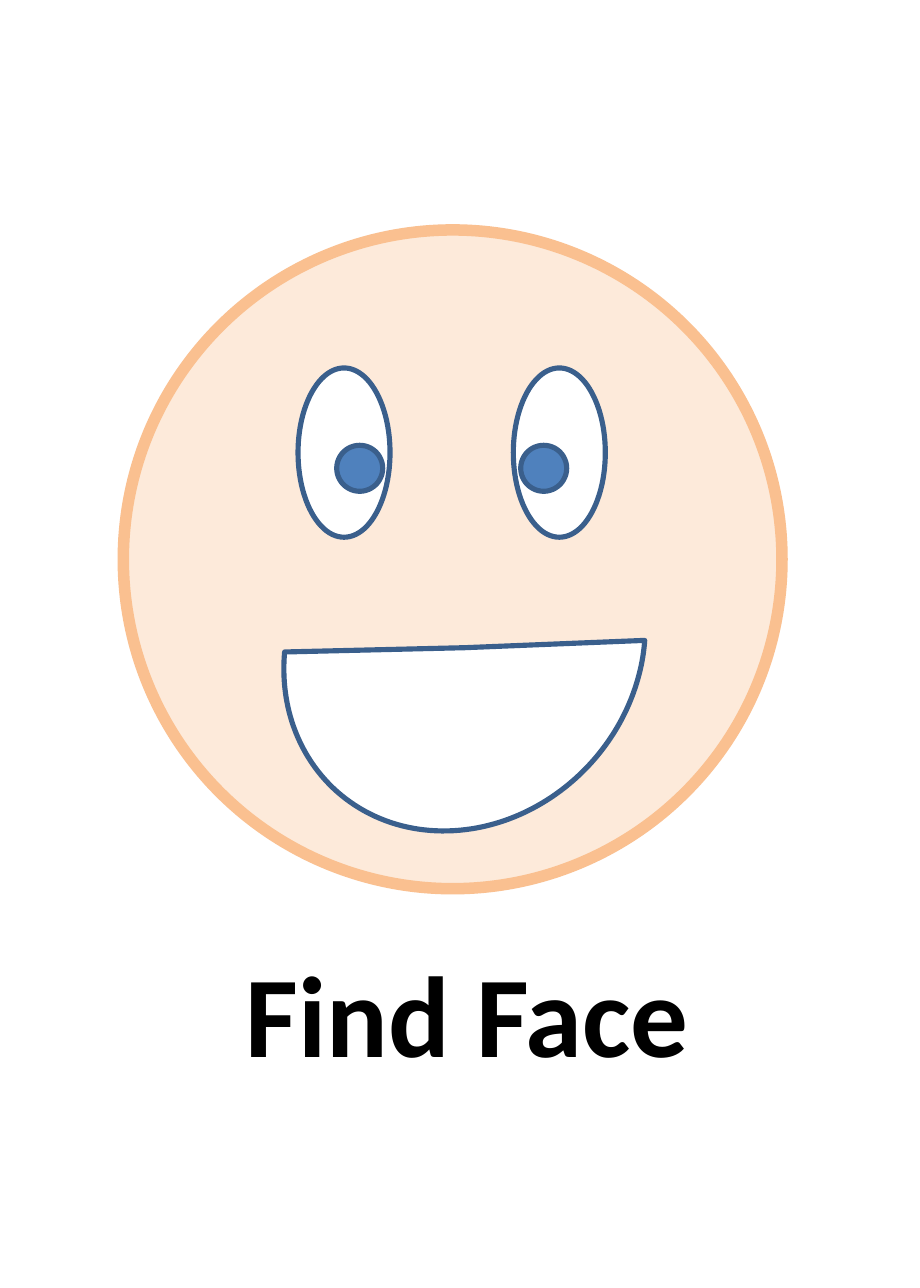
from dataclasses import dataclass

from pptx import Presentation
from pptx import util as u
from pptx.dml.color import RGBColor
from pptx.enum import shapes, text


@dataclass(frozen=True)
class Theme:
    font: str = "Calibri"
    caption_size: float = 45
    ink: str = "000000"
    skin: str = "FDEADA"
    skin_edge: str = "FAC090"
    white: str = "FFFFFF"
    iris: str = "4F81BD"
    outline: str = "3A5F8C"
    face_line: float = 4.5
    feature_line: float = 2


THEME = Theme()


@dataclass(frozen=True)
class Feature:
    left: float
    top: float
    width: float
    height: float
    fill: str = THEME.white
    line: str = THEME.outline
    line_width: float = THEME.feature_line
    kind: shapes.MSO_SHAPE = shapes.MSO_SHAPE.OVAL
    rotation: float = 0
    angles: tuple[float, ...] = ()  # start and end of a pie, in degrees


FACE = Feature(0.67, 1.25, 3.58, 3.58, THEME.skin, THEME.skin_edge, THEME.face_line)
EYES = [Feature(left, 2, 0.5, 0.92) for left in (1.62, 2.79)]
PUPILS = [Feature(left, 2.42, 0.25, 0.25, THEME.iris) for left in (1.83, 2.83)]
MOUTH = Feature(1.48, 2.59, 2.09, 1.86, kind=shapes.MSO_SHAPE.PIE,
                rotation=311.5, angles=(46.18, 227.14))


def draw_feature(page, feature: Feature) -> None:
    shape = page.shapes.add_shape(
        feature.kind, u.Inches(feature.left), u.Inches(feature.top),
        u.Inches(feature.width), u.Inches(feature.height))
    shape.shadow.inherit = False
    shape.rotation = feature.rotation
    for index, angle in enumerate(feature.angles):
        # Angles are stored in 60000ths of a degree, adjustments in 100000ths
        shape.adjustments[index] = angle * 0.6
    shape.fill.solid()
    shape.fill.fore_color.rgb = RGBColor.from_string(feature.fill)
    shape.line.color.rgb = RGBColor.from_string(feature.line)
    shape.line.width = u.Pt(feature.line_width)


def draw_caption(page, wording: str) -> None:
    box = page.shapes.add_textbox(
        u.Inches(0.58), u.Inches(5.09), u.Inches(3.92), u.Inches(0.83))
    frame = box.text_frame
    frame.word_wrap = True
    frame.auto_size = text.MSO_AUTO_SIZE.SHAPE_TO_FIT_TEXT
    frame.margin_left = frame.margin_right = u.Inches(0.07)
    frame.margin_top = frame.margin_bottom = u.Inches(0.03)
    frame.text = wording
    para = frame.paragraphs[0]
    para.alignment = text.PP_ALIGN.CENTER
    font = para.runs[0].font
    font.name = THEME.font
    font.size = u.Pt(THEME.caption_size)
    font.bold = True
    font.color.rgb = RGBColor.from_string(THEME.ink)


def main() -> None:
    deck = Presentation()
    deck.slide_width, deck.slide_height = u.Inches(5), u.Inches(7)
    page = deck.slides.add_slide(deck.slide_layouts[6])

    # Caption below the face
    draw_caption(page, "Find Face")

    # Face, from back to front
    for feature in [FACE, *EYES, *PUPILS, MOUTH]:
        draw_feature(page, feature)

    deck.save("out.pptx")


if __name__ == "__main__":
    main()
